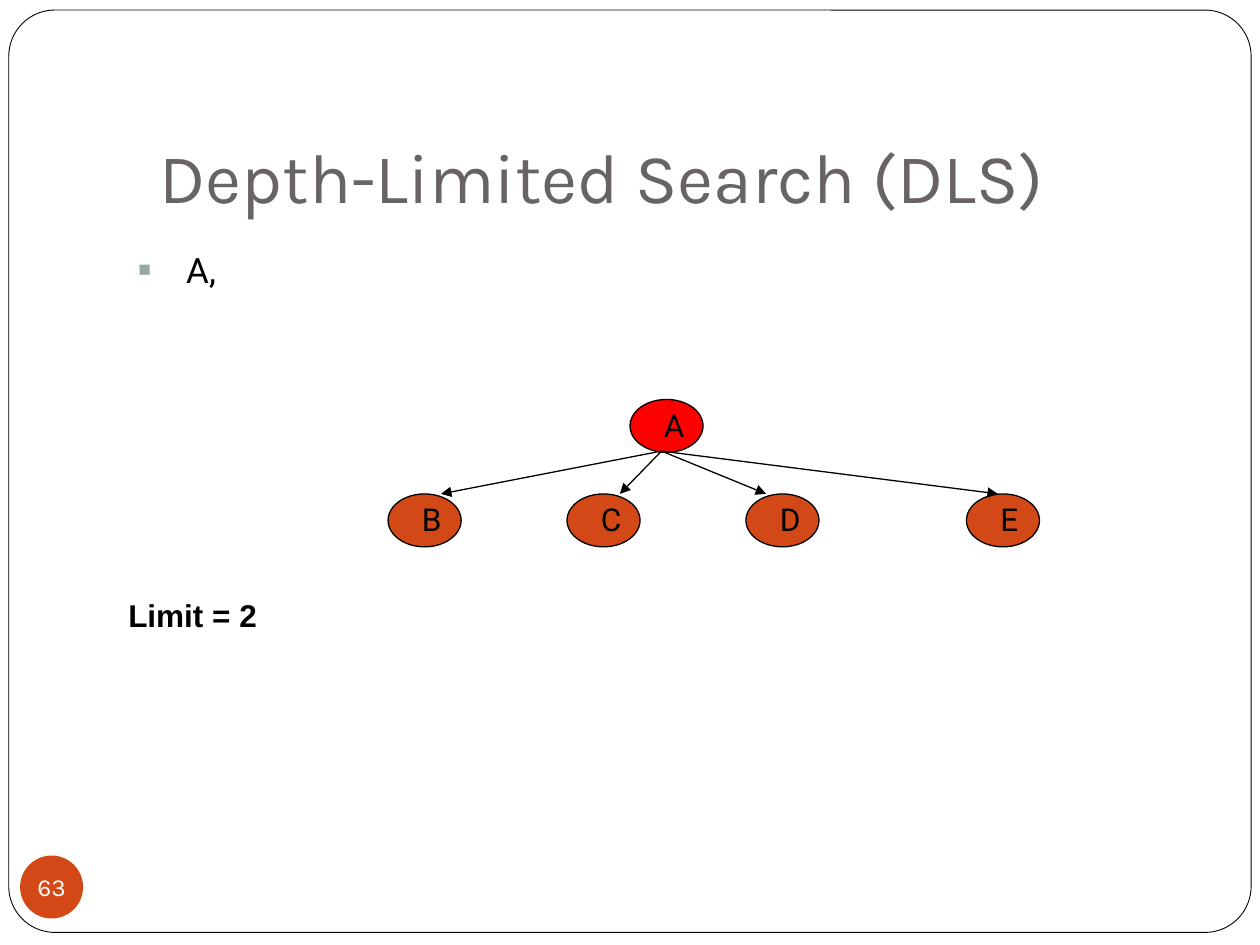
from lxml import etree
from pptx import Presentation
from pptx.dml.color import RGBColor
from pptx.enum.shapes import MSO_CONNECTOR, MSO_SHAPE
from pptx.enum.text import MSO_ANCHOR, PP_ALIGN
from pptx.oxml import parse_xml
from pptx.oxml.ns import nsdecls, qn
from pptx.util import Inches, Pt

ELLIPSE, ROUNDED = MSO_SHAPE.OVAL, MSO_SHAPE.ROUNDED_RECTANGLE
STRAIGHT = MSO_CONNECTOR.STRAIGHT
BOTTOM, MIDDLE, CENTER = MSO_ANCHOR.BOTTOM, MSO_ANCHOR.MIDDLE, PP_ALIGN.CENTER

WHITE = RGBColor(0xFF, 0xFF, 0xFF)
BLACK = RGBColor(0x00, 0x00, 0x00)
GRAY = RGBColor(0x69, 0x64, 0x64)
ORANGE = RGBColor(0xD3, 0x48, 0x17)
RED = RGBColor(0xFF, 0x00, 0x00)


def add_shape(shapes, preset, left, top, width, height, fill, line_width=None):
    shape = shapes.add_shape(preset, Inches(left), Inches(top), Inches(width), Inches(height))
    shape.shadow.inherit = False
    shape.fill.solid()
    shape.fill.fore_color.rgb = fill
    if line_width:
        shape.line.color.rgb = BLACK
        shape.line.width = Pt(line_width)
    else:
        shape.line.fill.background()
    return shape


def add_text(shapes, left, top, width, height, text, font, size, color=BLACK, bold=False):
    box = shapes.add_textbox(Inches(left), Inches(top), Inches(width), Inches(height))
    box.text_frame.word_wrap = True
    paragraph = box.text_frame.paragraphs[0]
    paragraph.text = text
    run_font = paragraph.runs[0].font
    run_font.name, run_font.size, run_font.bold = font, Pt(size), bold
    run_font.color.rgb = color
    return box


prs = Presentation()
prs.slide_width, prs.slide_height = Inches(10), Inches(7.5)
slide = prs.slides.add_slide(prs.slide_layouts[6])
shapes = slide.shapes

# Slide frame
frame = add_shape(shapes, ROUNDED, 0.07, 0.08, 9.86, 7.32, WHITE, 0.5)
frame.adjustments[0] = 0.05

# Title
title = add_text(shapes, 1.17, 0.58, 8.5, 1.25, "Depth-Limited Search (DLS)", "Karla", 40, GRAY)
title.text_frame.vertical_anchor = BOTTOM
title.text_frame.margin_bottom = Inches(0.1)

# Page number
badge = add_shape(shapes, ELLIPSE, 0.16, 6.79, 0.5, 0.5, ORANGE)
number = badge.text_frame
number.margin_left = number.margin_right = number.margin_top = number.margin_bottom = 0
number.word_wrap = False
number.vertical_anchor = MIDDLE
number.text = "63"
number.paragraphs[0].alignment = CENTER
number_font = number.paragraphs[0].runs[0].font
number_font.name, number_font.size = "Karla", Pt(14)
number_font.color.rgb = WHITE

# Visited nodes, as a bullet
visited = add_text(shapes, 1, 1.92, 8.5, 0.92, "A,", "Roboto", 20)
bullet = visited.text_frame.paragraphs[0]._p.get_or_add_pPr()
bullet.set("marL", str(Inches(0.38)))
bullet.set("indent", str(Inches(-0.38)))
for xml in (
    '<a:buClr {}><a:srgbClr val="96A9A9"/></a:buClr>',
    '<a:buSzPct {} val="60000"/>',
    '<a:buFont {} typeface="Arial"/>',
    '<a:buChar {} char="■"/>',
):
    bullet.append(parse_xml(xml.format(nsdecls("a"))))

# Tree nodes: letter, left, top, fill
CHILD_TOP = 3.92
nodes = [
    ("A", 5, 3.17, RED),
    ("B", 3.08, CHILD_TOP, ORANGE),
    ("C", 4.5, CHILD_TOP, ORANGE),
    ("D", 5.92, CHILD_TOP, ORANGE),
    ("E", 7.67, CHILD_TOP, ORANGE),
]
for letter, left, top, fill in nodes:
    node = shapes.add_group_shape().shapes
    add_shape(node, ELLIPSE, left, top, 0.58, 0.42, fill, 0.75)
    add_text(node, left + 0.17, top, 0.42, 0.4, letter, "Roboto", 18)

# Arrows from A to its children
for tip in (3.5, 4.92, 6.08, 7.92):
    arrow = shapes.add_connector(
        STRAIGHT, Inches(5.25), Inches(3.58), Inches(tip), Inches(CHILD_TOP))
    arrow.line.color.rgb = BLACK
    arrow.line.width = Pt(0.75)
    etree.SubElement(arrow.line._get_or_add_ln(), qn("a:tailEnd"), type="triangle")
    etree.SubElement(arrow._element.spPr, qn("a:effectLst"))

# Depth limit
add_text(shapes, 0.92, 4.68, 1.33, 0.4, "Limit = 2", "Arial", 18, bold=True)

prs.save("out.pptx")
